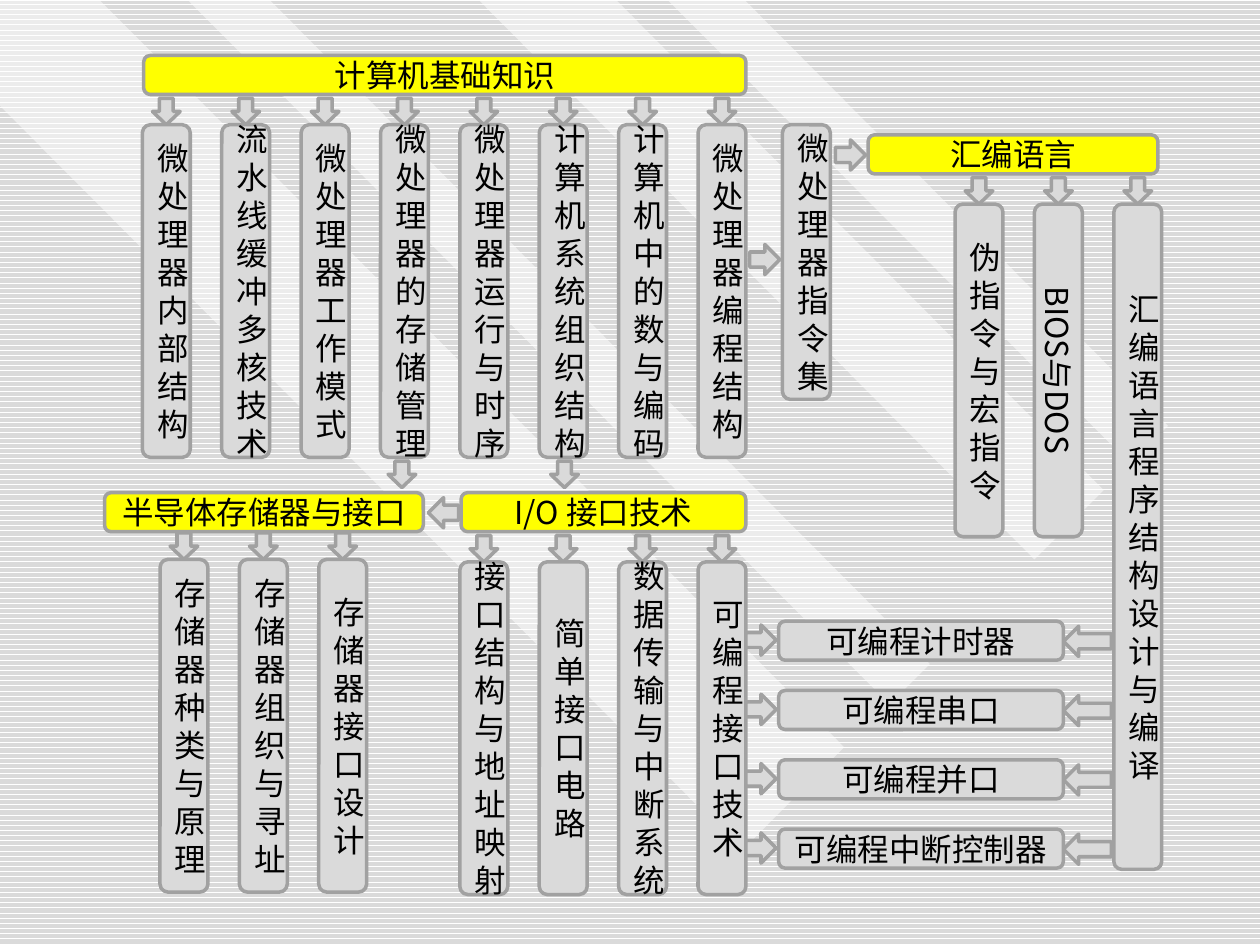
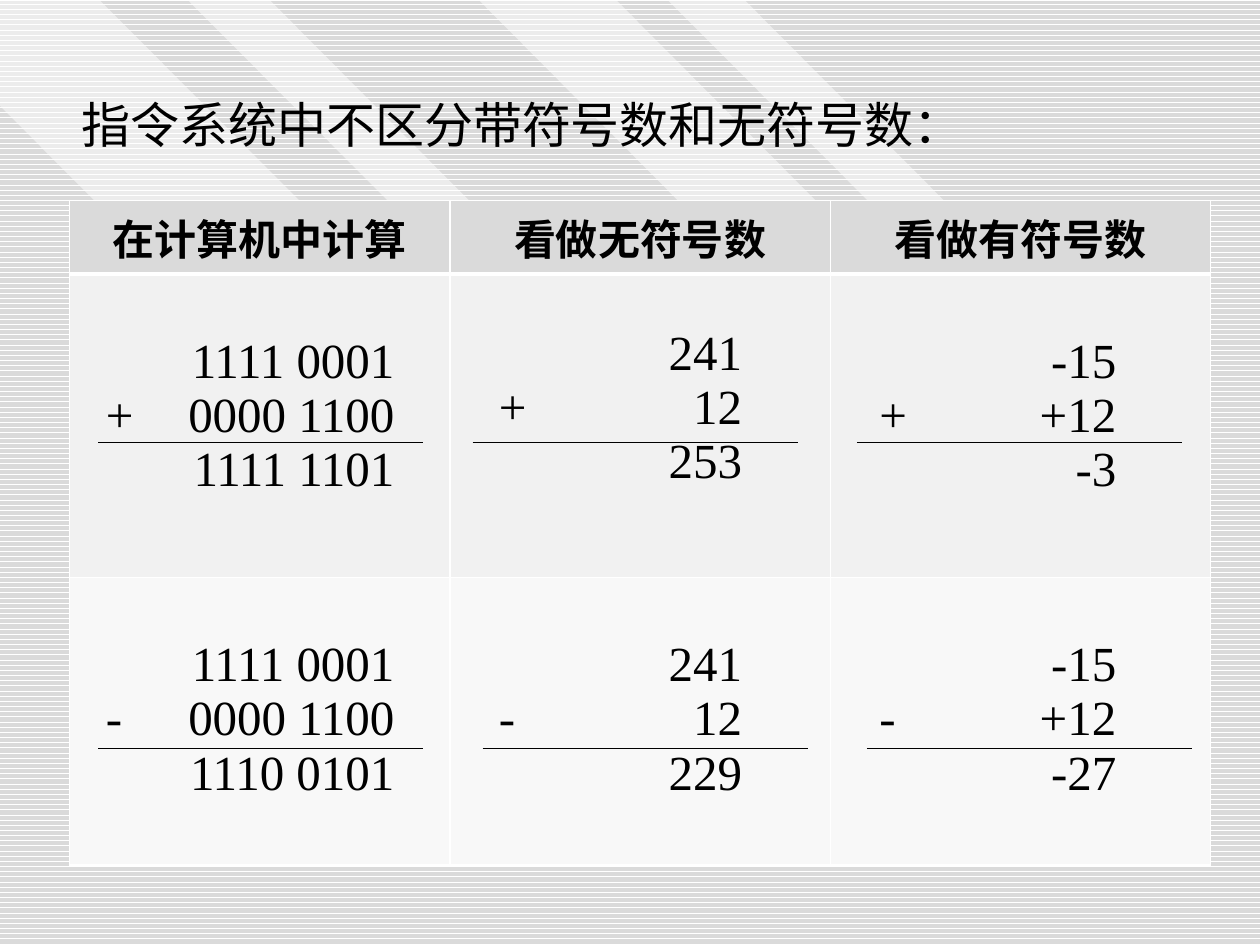
from lxml import etree
from pptx import Presentation
from pptx import util as u
from pptx.dml.color import RGBColor
from pptx.enum import dml, shapes, text
from pptx.oxml import ns

GRAY = RGBColor(0xDA, 0xDA, 0xDA)
EDGE = RGBColor(0xA1, 0xA1, 0xA1)
GOLD = RGBColor(0xFF, 0xFF, 0x00)
WHITE = RGBColor(0xFF, 0xFF, 0xFF)
BLACK = RGBColor(0x00, 0x00, 0x00)
PALE = RGBColor(0xF1, 0xF1, 0xF1)
LIGHT = RGBColor(0xF8, 0xF8, 0xF8)
SANS = "Noto Sans CJK SC"
SERIF = "Times New Roman"
KIND = shapes.MSO_SHAPE
ALIGN = text.PP_ALIGN
MID = text.MSO_ANCHOR.MIDDLE
PITCH = 0.63
COL_W, COL_H = 0.38, 2.64
BAR_H = 0.31
LEFT, RIGHT = 90, 270

STRIPES = [
    [(6.7, 5.93), (0.79, 0), (0, 0), (0, 0.84), (5.89, 6.75)],
    [(2.14, 0), (7.38, 5.27), (7.06, 5.59), (1.49, 0)],
    [(4.89, 0), (8.76, 3.89), (8.21, 4.44), (3.8, 0)],
    [(5.3, 0), (8.97, 3.68), (9.27, 3.38), (5.91, 0)],
]


def inches(*sizes):
    return [u.Inches(size) for size in sizes]


def child(parent, tag, **attrs):
    return etree.SubElement(parent, ns.qn(tag), **attrs)


def write(frame, words, size=18, font=SANS, bold=False, align=None,
          pitch=None, tabs=()):
    for i, line in enumerate(words.split("\n")):
        para = frame.add_paragraph() if i else frame.paragraphs[0]
        para.alignment = align
        if pitch:
            para.line_spacing = u.Pt(pitch)
        if tabs:
            stops = child(para._p.get_or_add_pPr(), "a:tabLst")
            for spot, side in tabs:
                child(stops, "a:tab", pos=str(u.Inches(spot)), algn=side)
        run = para.add_run()
        run.text = line
        run.font.size = u.Pt(size)
        run.font.name = font
        run.font.bold = bold
        run.font.color.rgb = BLACK
        child(run._r.get_or_add_rPr(), "a:ea", typeface=SANS)


def set_back(master):
    fill = master.background.fill
    fill.patterned()
    fill.pattern = dml.MSO_PATTERN.DARK_HORIZONTAL
    fill.fore_color.rgb = GRAY
    fill.back_color.rgb = WHITE


def add_slide(prs):
    slide = prs.slides.add_slide(prs.slide_layouts[6])
    for points in STRIPES:
        start, *rest = [inches(*point) for point in points]
        pen = slide.shapes.build_freeform(*start, scale=1.0)
        pen.add_line_segments(rest, close=True)
        band = pen.convert_to_shape()
        band.shadow.inherit = False
        band.line.fill.background()
        band.fill.solid()
        band.fill.fore_color.rgb = WHITE
        tint = band.element.spPr.find(".//" + ns.qn("a:srgbClr"))
        child(tint, "a:alpha", val="50000")
    return slide


def add_form(slide, kind, box, fill=GRAY):
    form = slide.shapes.add_shape(kind, *inches(*box))
    form.shadow.inherit = False
    form.fill.solid()
    form.fill.fore_color.rgb = fill
    form.line.color.rgb = EDGE
    form.line.width = u.Pt(2)
    return form


def add_box(slide, words, box, fill=GRAY, pitch=None):
    frame = add_form(slide, KIND.ROUNDED_RECTANGLE, box, fill).text_frame
    frame.word_wrap = True
    frame.vertical_anchor = MID
    write(frame, words, align=ALIGN.CENTER, pitch=pitch)
    return frame


def add_bar(slide, words, x, y, width, fill=GOLD):
    add_box(slide, words, (x, y, width, BAR_H), fill)


def add_stack(slide, words, x, y, high=COL_H):
    return add_box(slide, words, (x, y, COL_W, high), pitch=21.7)


def add_arrow(slide, x, y, wide=0.22, high=0.21, turn=0):
    add_form(slide, KIND.DOWN_ARROW, (x, y, wide, high)).rotation = turn


def add_side(slide, x, y, turn, high=0.24):
    add_arrow(slide, x, y, 0.24, high, turn)


def add_group(slide, x, y, names, highs=None):
    frames = []
    for i, name in enumerate(names):
        left = x + i * PITCH
        add_arrow(slide, left + 0.08, y - 0.21)
        high = highs[i] if highs else COL_H
        frames.append(add_stack(slide, name, left, y, high))
    return frames


def add_basics(slide, x, y):
    add_bar(slide, "计算机基础知识", x, y, 4.78)
    add_group(slide, x - 0.01, y + 0.55, [
        "微处理器内部结构", "流水线缓冲多核技术", "微处理器工作模式",
        "微处理器的存储管理", "微处理器运行与时序", "计算机系统组织结构",
        "计算机中的数与编码", "微处理器编程结构"])
    for left in (1.94, 3.23):
        add_arrow(slide, x + left, y + 3.22)


def add_memory(slide, x, y):
    add_bar(slide, "半导体存储器与接口", x, y, 2.53)
    add_group(slide, x + 0.44, y + 0.53, [
        "存储器种类与原理", "存储器组织与寻址", "存储器接口设计"])


def add_ports(slide, x, y):
    add_side(slide, x - 0.26, y + 0.04, LEFT)
    add_bar(slide, "I/O 接口技术", x, y, 2.26)
    add_group(slide, x - 0.01, y + 0.55, [
        "接口结构与地址映射", "简单接口电路", "数据传输与中断系统",
        "可编程接口技术"])


def add_codes(slide, x, y):
    add_side(slide, x - 0.26, y + 0.95, RIGHT)
    add_stack(slide, "微处理器指令集", x, y, 2.18)
    add_side(slide, x + 0.42, y + 0.12, RIGHT)
    add_bar(slide, "汇编语言", x + 0.68, y + 0.08, 2.3)
    frames = add_group(
        slide, x + 1.37, y + 0.63,
        ["伪指令与宏指令", "BIOS与DOS", "汇编语言程序结构设计与编译"],
        [COL_H, COL_H, 2 * COL_H])
    frames[1]._txBody.bodyPr.set("vert", "vert")


def add_chips(slide, x, y):
    names = ["可编程计时器", "可编程串口", "可编程并口", "可编程中断控制器"]
    for i, name in enumerate(names):
        top = y + i * 0.55
        add_bar(slide, name, x, top, 2.26, GRAY)
        add_side(slide, x - 0.26, top + 0.03, RIGHT)
        add_side(slide, x + 2.33, top - 0.03, LEFT, 0.38)


def build_map(prs):
    slide = add_slide(prs)
    add_basics(slide, 1.14, 0.44)
    add_memory(slide, 0.83, 3.91)
    add_ports(slide, 3.66, 3.91)
    add_codes(slide, 6.21, 0.99)
    add_chips(slide, 6.18, 4.93)


def set_cell(cell, fill, top=1, base=1):
    cell.fill.solid()
    cell.fill.fore_color.rgb = fill
    props = cell._tc.get_or_add_tcPr()
    sides = [("L", 1), ("R", 1), ("T", top), ("B", base)]
    for i, (side, width) in enumerate(sides):
        line = etree.Element(ns.qn("a:ln" + side), w=str(u.Pt(width)))
        paint = child(line, "a:solidFill")
        child(paint, "a:srgbClr", val=str(WHITE))
        props.insert(i, line)


def add_title(slide, words, x, y):
    frame = slide.shapes.add_textbox(*inches(x, y, 7.27, 0.57)).text_frame
    frame.word_wrap = True
    frame.vertical_anchor = MID
    write(frame, words, size=28)


def add_sums(slide, x, y):
    heads = ["在计算机中计算", "看做无符号数", "看做有符号数"]
    sums = [
        ("+", PALE, [("1111 0001", "0000 1100", "1111 1101"),
                     ("241", "12", "253"), ("-15", "+12", "-3")]),
        ("-", LIGHT, [("1111 0001", "0000 1100", "1110 0101"),
                      ("241", "12", "229"), ("-15", "+12", "-27")]),
    ]
    stops = [(0.19, 2.48), (0.29, 2.22), (0.29, 2.17)]
    grid = slide.shapes.add_table(3, 3, *inches(x, y, 9.06, 5.26)).table
    grid.horz_banding = False
    for col in grid.columns:
        col.width = u.Inches(3.02)
    for row, high in zip(grid.rows, (0.57, 2.41, 2.28)):
        row.height = u.Inches(high)
    for c, head in enumerate(heads):
        cell = grid.cell(0, c)
        set_cell(cell, GRAY, base=3)
        write(cell.text_frame, head, size=24, font=SERIF, bold=True,
              align=ALIGN.CENTER)
    for r, (sign, fill, terms) in enumerate(sums, 1):
        for c, (first, second, total) in enumerate(terms):
            cell = grid.cell(r, c)
            set_cell(cell, fill, top=3 if r == 1 else 1)
            cell.margin_top = u.Inches(0.42 if (r, c) == (1, 1) else 0.48)
            mark, edge = stops[c]
            write(cell.text_frame,
                  f"\t\t{first}\n\t{sign}\t{second}\n\t\t{total}",
                  size=28, font=SERIF, tabs=[(mark, "l"), (edge, "r")])


def add_rules(slide, x, y):
    rows = [(0, (0, 2.97, 6.02)), (2.43, (0, 3.05, 6.1))]
    for drop, lefts in rows:
        for left in lefts:
            rule = slide.shapes.add_connector(
                shapes.MSO_CONNECTOR.STRAIGHT,
                *inches(x + left, y + drop, x + left + 2.58, y + drop))
            rule.line.color.rgb = BLACK
            rule.line.width = u.Pt(0.75)
            child(rule.element.spPr, "a:effectLst")


def build_sums(prs):
    slide = add_slide(prs)
    add_sums(slide, 0.55, 1.59)
    add_rules(slide, 0.78, 3.51)
    add_title(slide, "指令系统中不区分带符号数和无符号数：", 0.55, 0.7)


def main():
    prs = Presentation()
    prs.slide_width, prs.slide_height = inches(10, 7.5)
    set_back(prs.slide_master)
    build_map(prs)
    build_sums(prs)
    prs.save("out.pptx")


if __name__ == "__main__":
    main()
